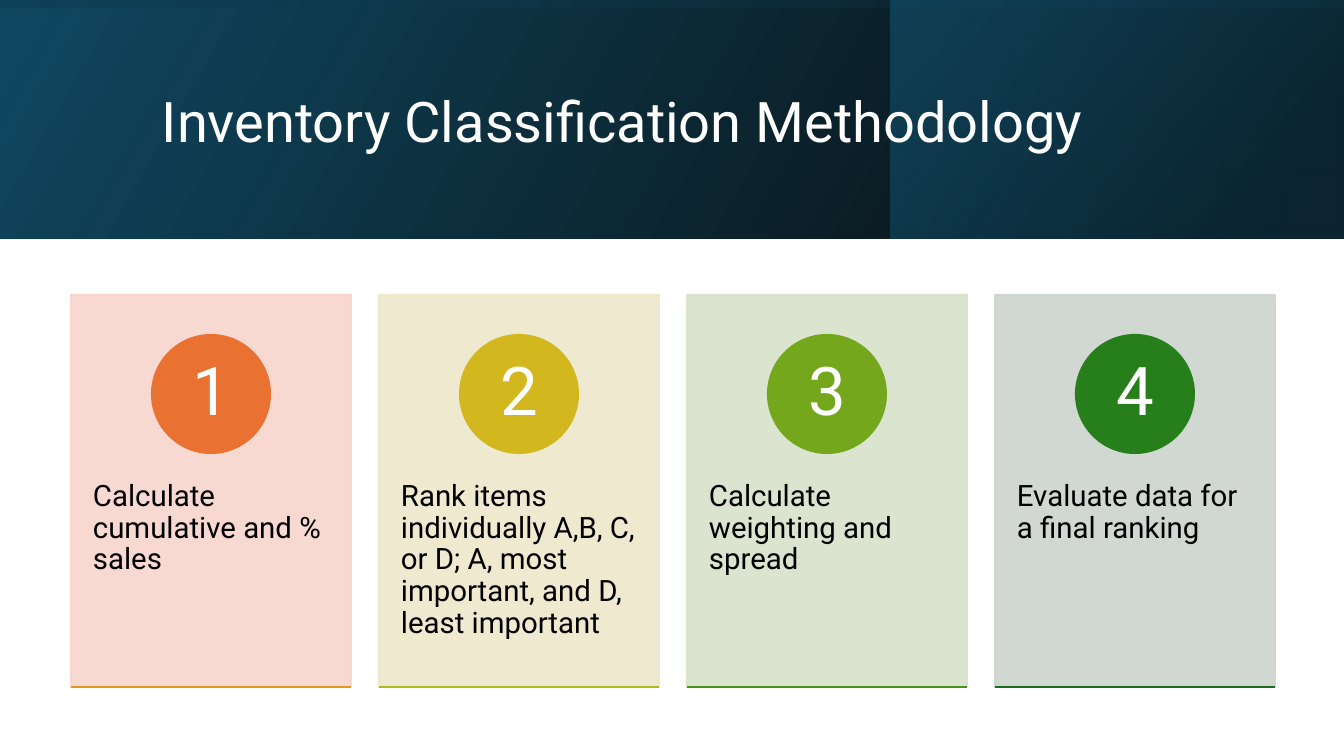
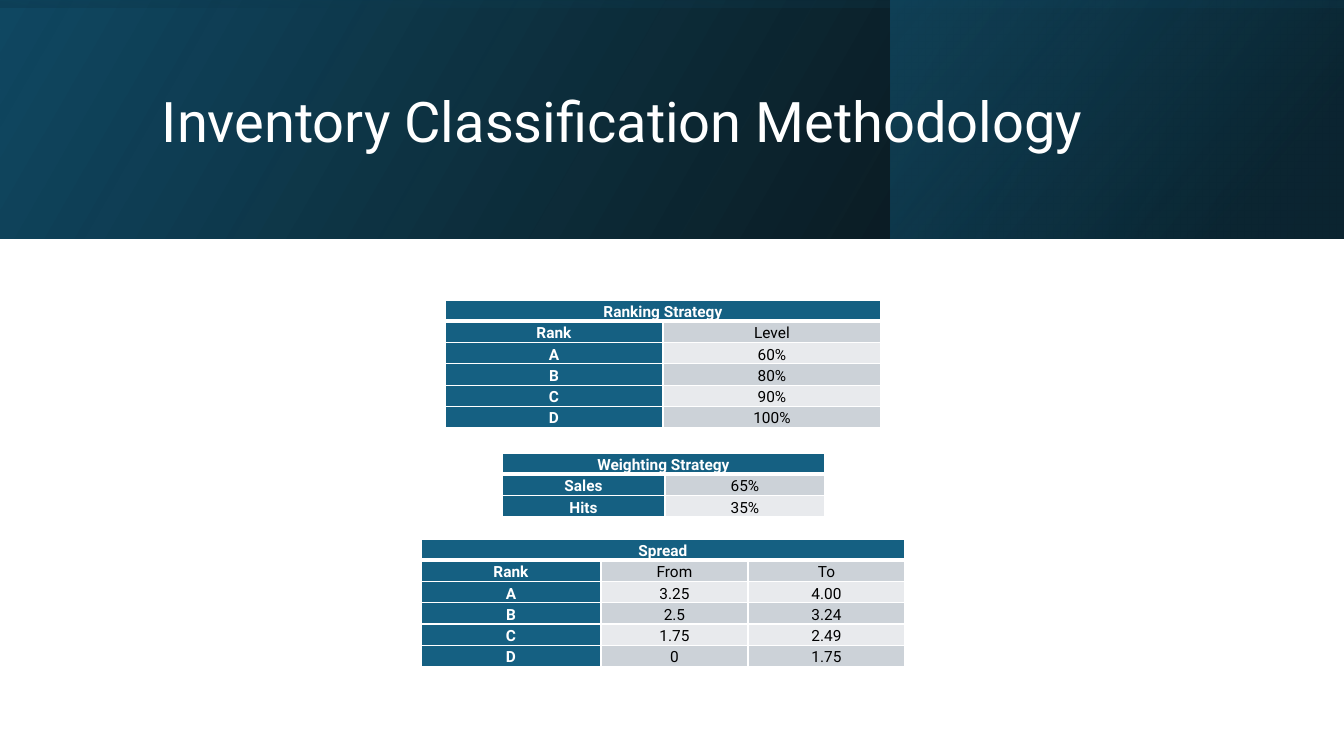
import lxml.etree
import pptx
import pptx.dml.color
import pptx.enum.shapes
import pptx.enum.text
import pptx.oxml.ns
import pptx.util

PX = 914400 / 100.8
FONT = "Roboto"
RGB = pptx.dml.color.RGBColor
WHITE = RGB(0xFF, 0xFF, 0xFF)
BLACK = RGB(0x00, 0x00, 0x00)
NAVY = RGB(0x0B, 0x30, 0x41)
DEEP_BLUE = RGB(0x10, 0x48, 0x62)
BLUE = RGB(0x15, 0x60, 0x82)
BAND_DARK = RGB(0xCC, 0xD2, 0xD8)
BAND_LIGHT = RGB(0xE8, 0xEA, 0xED)

RECTANGLE = pptx.enum.shapes.MSO_SHAPE.RECTANGLE
OVAL = pptx.enum.shapes.MSO_SHAPE.OVAL
STRAIGHT = pptx.enum.shapes.MSO_CONNECTOR.STRAIGHT
LEFT = pptx.enum.text.PP_ALIGN.LEFT
CENTER = pptx.enum.text.PP_ALIGN.CENTER
TOP = pptx.enum.text.MSO_ANCHOR.TOP
MIDDLE = pptx.enum.text.MSO_ANCHOR.MIDDLE
BOTTOM = pptx.enum.text.MSO_ANCHOR.BOTTOM
qn = pptx.oxml.ns.qn


def px(*lengths):
    return [pptx.util.Emu(round(length * PX)) for length in lengths]


def write(frame, text, size, color, align, spacing, bold=False):
    paragraph = frame.paragraphs[0]
    paragraph.text = text
    paragraph.alignment = align
    paragraph.line_spacing = spacing
    paragraph.font.name = FONT
    paragraph.font.size = pptx.util.Pt(size)
    paragraph.font.bold = bold
    paragraph.font.color.rgb = color


presentation = pptx.Presentation()
presentation.slide_width, presentation.slide_height = px(1344, 756)

TITLE = "Inventory Classification Methodology"
BAND_HEIGHT = 239
BANDS = [
    ((0, 0, 1344, BAND_HEIGHT), 0, 30, [(0, BLACK, 96), (1, DEEP_BLUE, 100)]),
    ((891, 0, 452, BAND_HEIGHT), 0, 40, [(0.19, NAVY, 68), (1, BLUE, 48)]),
    ((552, -552, BAND_HEIGHT, 1344), 270, 10, [(0.23, DEEP_BLUE, 16), (0.99, BLACK, 45)]),
]

slides = []
for _ in range(2):
    slide = presentation.slides.add_slide(presentation.slide_layouts[6])
    slides.append(slide)
    for box, rotation, angle, stops in BANDS:
        band = slide.shapes.add_shape(RECTANGLE, *px(*box))
        band.shadow.inherit = False
        band.line.fill.background()
        band.rotation = rotation
        band._element.spPr.xfrm.set("flipH", "1")
        band.fill.gradient()
        band.fill.gradient_angle = angle
        for stop, (position, color, _opacity) in zip(band.fill.gradient_stops, stops):
            stop.position = position
            stop.color.rgb = color
        colors = band._element.spPr.iter(qn("a:srgbClr"))
        for element, (_position, _color, opacity) in zip(colors, stops):
            lxml.etree.SubElement(element, qn("a:alpha"), val=str(opacity * 1000))
    title = slide.shapes.add_textbox(*px(152, 38, 1072, 173))
    title.text_frame.word_wrap = True
    title.text_frame.vertical_anchor = MIDDLE
    write(title.text_frame, TITLE, 40, WHITE, LEFT, 0.9)

steps_slide, tables_slide = slides

STEPS = [
    ("Calculate cumulative and % sales",
     RGB(0xF7, 0xD5, 0xCE), RGB(0xE9, 0x71, 0x32), RGB(0xE4, 0x96, 0x22)),
    ("Rank items individually A,B, C, or D; A, most important, and D, least important",
     RGB(0xEE, 0xE7, 0xCB), RGB(0xD2, 0xB8, 0x1E), RGB(0xAB, 0xBC, 0x1E)),
    ("Calculate weighting and spread",
     RGB(0xD8, 0xE2, 0xCA), RGB(0x75, 0xA7, 0x1D), RGB(0x49, 0x93, 0x1D)),
    ("Evaluate data for a final ranking",
     RGB(0xCC, 0xD4, 0xCD), RGB(0x27, 0x7F, 0x1B), RGB(0x19, 0x6B, 0x24)),
]
CARD_LEFT, CARD_TOP, CARD_WIDTH, CARD_HEIGHT, CARD_PITCH = 71, 295, 280, 392, 308
CIRCLE_TOP, CIRCLE_SIZE = 335, 118

for index, (text, card_color, circle_color, rule_color) in enumerate(STEPS):
    left = CARD_LEFT + index * CARD_PITCH
    right, bottom = left + CARD_WIDTH, CARD_TOP + CARD_HEIGHT
    circle_left = left + (CARD_WIDTH - CIRCLE_SIZE) // 2

    card = steps_slide.shapes.add_shape(RECTANGLE, *px(left, CARD_TOP, CARD_WIDTH, CARD_HEIGHT))
    circle = steps_slide.shapes.add_shape(OVAL, *px(circle_left, CIRCLE_TOP, CIRCLE_SIZE, CIRCLE_SIZE))
    for shape, color in ((card, card_color), (circle, circle_color)):
        shape.shadow.inherit = False
        shape.fill.solid()
        shape.fill.fore_color.rgb = color
        shape.line.color.rgb = color
        shape.line.width = pptx.util.Pt(1.5)
    for element in card._element.spPr.iter(qn("a:srgbClr")):
        lxml.etree.SubElement(element, qn("a:alpha"), val="90000")

    frame = card.text_frame
    frame.word_wrap = True
    frame.vertical_anchor = TOP
    frame.margin_left, frame.margin_top, frame.margin_right = px(22, 186, 22)
    write(frame, text, 21, BLACK, LEFT, 0.9)

    frame = circle.text_frame
    frame.vertical_anchor = MIDDLE
    frame.margin_left, frame.margin_top, frame.margin_right, frame.margin_bottom = px(9, 1, 9, 1)
    write(frame, str(index + 1), 48, WHITE, CENTER, 0.9)

    rule = steps_slide.shapes.add_connector(STRAIGHT, *px(left, bottom, right, bottom))
    rule.line.color.rgb = rule_color
    rule.line.width = pptx.util.Pt(1.5)
    lxml.etree.SubElement(rule._element.spPr, qn("a:effectLst"))

TABLES = [
    (300, [218, 218], [
        ["Ranking Strategy"], ["Rank", "Level"],
        ["A", "60%"], ["B", "80%"], ["C", "90%"], ["D", "100%"],
    ]),
    (453, [163, 160], [["Weighting Strategy"], ["Sales", "65%"], ["Hits", "35%"]]),
    (539, [180, 147, 157], [
        ["Spread"], ["Rank", "From", "To"],
        ["A", "3.25", "4.00"], ["B", "2.5", "3.24"], ["C", "1.75", "2.49"], ["D", "0", "1.75"],
    ]),
]
TABLE_CENTER, ROW_HEIGHT = 663, 20

for top, widths, rows in TABLES:
    width = sum(widths)
    table = tables_slide.shapes.add_table(
        len(rows), len(widths),
        *px(TABLE_CENTER - width // 2, top, width, ROW_HEIGHT * len(rows))).table
    for column, column_width in zip(table.columns, px(*widths)):
        column.width = column_width
    table.cell(0, 0).merge(table.cell(0, len(widths) - 1))
    for row_index, row in enumerate(rows):
        for column_index in range(len(widths)):
            cell = table.cell(row_index, column_index)
            properties = cell._tc.get_or_add_tcPr()
            for side in "LRTB":
                thick = (row_index, side) in ((0, "B"), (1, "T"))
                line = lxml.etree.SubElement(
                    properties, qn(f"a:ln{side}"), w=str(pptx.util.Pt(3 if thick else 1)))
                fill = lxml.etree.SubElement(line, qn("a:solidFill"))
                lxml.etree.SubElement(fill, qn("a:srgbClr"), val=str(WHITE))
            header = row_index == 0 or column_index == 0
            cell.fill.solid()
            cell.fill.fore_color.rgb = BLUE if header else BAND_DARK if row_index % 2 else BAND_LIGHT
            cell.vertical_anchor = BOTTOM
            cell.margin_left, cell.margin_top, cell.margin_right, cell.margin_bottom = px(7, 0, 7, 0)
            text = row[column_index] if column_index < len(row) else ""
            write(cell.text_frame, text, 11, WHITE if header else BLACK, CENTER, 1.15, header)

presentation.save("out.pptx")
